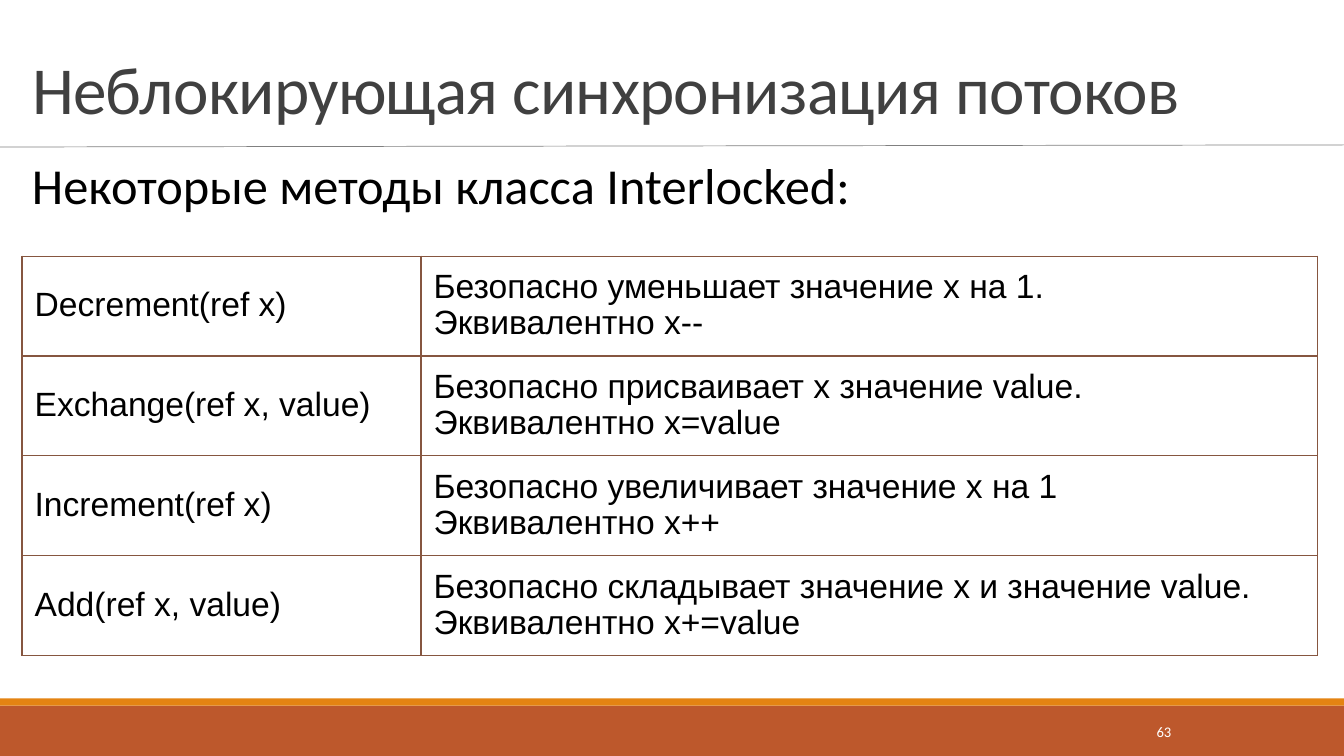
from typing import NamedTuple

from lxml import etree
from pptx import Presentation
from pptx.dml.color import RGBColor
from pptx.enum.shapes import MSO_CONNECTOR, MSO_SHAPE
from pptx.enum.text import MSO_ANCHOR, MSO_AUTO_SIZE, PP_ALIGN
from pptx.oxml.ns import qn
from pptx.util import Pt

RECT = MSO_SHAPE.RECTANGLE
STRAIGHT = MSO_CONNECTOR.STRAIGHT
LEFT, CENTER, JUSTIFY = PP_ALIGN.LEFT, PP_ALIGN.CENTER, PP_ALIGN.JUSTIFY
TOP, MIDDLE, BOTTOM = MSO_ANCHOR.TOP, MSO_ANCHOR.MIDDLE, MSO_ANCHOR.BOTTOM
FIXED = MSO_AUTO_SIZE.NONE

PX = 9525
WIDTH, HEIGHT = 1280, 720
COLS = (380, 854)
ROW = 95
PAD = 12
COLORS = {
    "bar": "BD582C",
    "stripe": "E48312",
    "rule": "808080",
    "title": "404040",
    "text": "000000",
    "page": "FFFFFF",
    "border": "865640",
}


class Box(NamedTuple):
    left: int
    top: int
    width: int
    height: int

    def emu(self) -> tuple[int, ...]:
        return tuple(side * PX for side in self)


class Style(NamedTuple):
    font: str
    size: float
    color: str
    align: int = LEFT
    anchor: int = MIDDLE
    lines: float = 1.0


class Band(NamedTuple):
    box: Box
    color: str


class Method(NamedTuple):
    call: str
    about: str


TITLE = Style("Calibri", 48, "title", LEFT, BOTTOM, 0.85)
LEAD = Style("Calibri", 36, "text", JUSTIFY, TOP, 0.9)
PAGE = Style("Calibri", 10.5, "page", CENTER)
CELL = Style("Arial", 24, "text", lines=0.96)

BANDS = (
    Band(Box(0, 672, WIDTH, 48), "bar"),
    Band(Box(0, 665, WIDTH, 7), "stripe"),
)
METHODS = (
    Method("Decrement(ref x)",
           "Безопасно уменьшает значение x на 1.\nЭквивалентно x--"),
    Method("Exchange(ref x, value)",
           "Безопасно присваивает x значение value.\nЭквивалентно x=value"),
    Method("Increment(ref x)",
           "Безопасно увеличивает значение x на 1\nЭквивалентно x++"),
    Method("Add(ref x, value)",
           "Безопасно складывает значение x и значение value. "
           "Эквивалентно x+=value"),
)


def rgb(name: str) -> RGBColor:
    return RGBColor.from_string(COLORS[name])


def write(frame, text: str, style: Style) -> None:
    frame.text = text
    for para in frame.paragraphs:
        para.alignment = style.align
        para.line_spacing = style.lines
        for run in para.runs:
            run.font.name = style.font
            run.font.size = Pt(style.size)
            run.font.color.rgb = rgb(style.color)


def place(shape, box: Box, text: str, style: Style) -> None:
    """Position a text shape and fill it with styled text."""
    shape.left, shape.top, shape.width, shape.height = box.emu()
    frame = shape.text_frame
    frame.word_wrap = True
    frame.auto_size = FIXED
    frame.vertical_anchor = style.anchor
    write(frame, text, style)


def add_text(slide, box: Box, text: str, style: Style) -> None:
    place(slide.shapes.add_textbox(*box.emu()), box, text, style)


def add_band(slide, band: Band) -> None:
    shape = slide.shapes.add_shape(RECT, *band.box.emu())
    shape.shadow.inherit = False
    shape.fill.solid()
    shape.fill.fore_color.rgb = rgb(band.color)
    shape.line.fill.background()


def add_rule(slide, start: int, end: int) -> None:
    rule = slide.shapes.add_connector(
        STRAIGHT, 0, start * PX, WIDTH * PX, end * PX)
    rule.line.color.rgb = rgb("rule")
    rule.line.width = Pt(0.5)
    etree.SubElement(rule._element.spPr, qn("a:effectLst"))


def add_border(cell) -> None:
    props = cell._tc.get_or_add_tcPr()
    for side in ("lnL", "lnR", "lnT", "lnB"):
        line = etree.SubElement(props, qn(f"a:{side}"), w=str(Pt(1)))
        fill = etree.SubElement(line, qn("a:solidFill"))
        etree.SubElement(fill, qn("a:srgbClr"), val=COLORS["border"])


def fill_cell(cell, text: str) -> None:
    add_border(cell)
    cell.fill.background()
    cell.vertical_anchor = MIDDLE
    cell.margin_left = cell.margin_right = PAD * PX
    cell.margin_top = cell.margin_bottom = PAD * PX
    write(cell.text_frame, text, CELL)


def add_methods(slide, left: int, top: int) -> None:
    box = Box(left, top, sum(COLS), ROW * len(METHODS))
    table = slide.shapes.add_table(
        len(METHODS), len(COLS), *box.emu()).table
    table.first_row = table.horz_banding = False
    for col, width in zip(table.columns, COLS):
        col.width = width * PX
    for row, method in zip(table.rows, METHODS):
        row.height = ROW * PX
        for cell, text in zip(row.cells, method):
            fill_cell(cell, text)


def main() -> None:
    deck = Presentation()
    deck.slide_width, deck.slide_height = WIDTH * PX, HEIGHT * PX
    slide = deck.slides.add_slide(deck.slide_layouts.get_by_name("Title Only"))
    for band in BANDS:
        add_band(slide, band)
    add_rule(slide, 140, 138)

    title = slide.shapes.title
    place(title, Box(21, 30, 1237, 97),
          "Неблокирующая синхронизация потоков", TITLE)
    for run in title.text_frame.paragraphs[0].runs:
        run.font._element.set("spc", "-50")

    add_text(slide, Box(21, 149, 1237, 80),
             "Некоторые методы класса Interlocked:", LEAD)
    add_methods(slide, 21, 244)
    add_text(slide, Box(1040, 678, 137, 38), "63", PAGE)
    deck.save("out.pptx")


if __name__ == "__main__":
    main()
